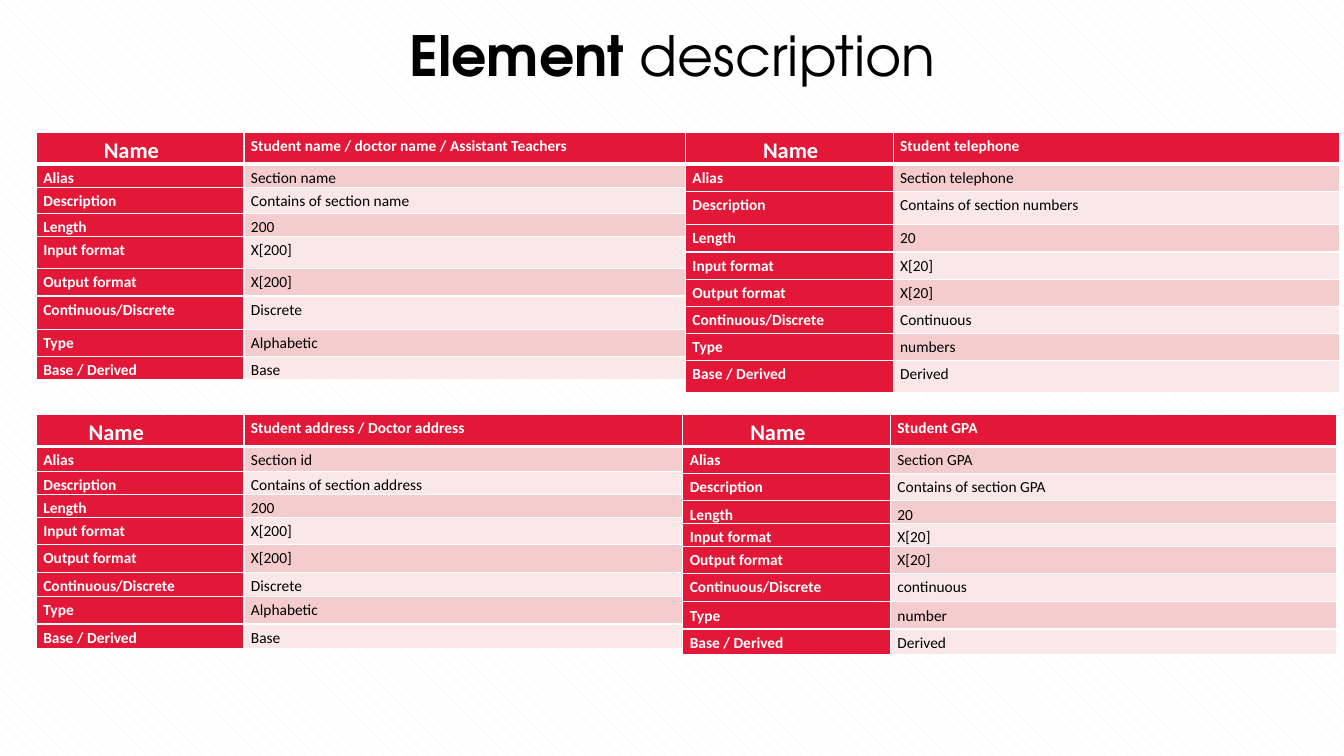
from pptx import Presentation
from pptx.dml.color import RGBColor
from pptx.enum.dml import MSO_PATTERN
from pptx.enum.text import MSO_ANCHOR, PP_ALIGN
from pptx.oxml.ns import qn
from pptx.util import Inches, Pt
from lxml import etree

SHINGLE = MSO_PATTERN.SHINGLE
MIDDLE = MSO_ANCHOR.MIDDLE
CENTER = PP_ALIGN.CENTER
WIDTH, HEIGHT = Inches(13.33), Inches(7.5)
LABELS = ("Name", "Alias", "Description", "Length", "Input format",
          "Output format", "Continuous/Discrete", "Type", "Base / Derived")
COLUMNS = (15.45, 33.23)
HEADER_HEIGHT = 4.27
ELEMENTS = (
    dict(left=2.7, top=17.47, indent=0.67,
         values=("Student name / doctor name / Assistant Teachers",
                 "Section name", "Contains of section name", "200", "X[200]",
                 "X[200]", "Discrete", "Alphabetic", "Base"),
         heights=(3.07, 3.47, 2.93, 4.27, 3.6, 4.4, 3.6, 2.8)),
    dict(left=2.7, top=54.8, indent=0.52,
         values=("Student address / Doctor address", "Section id",
                 "Contains of section address", "200", "X[200]", "X[200]",
                 "Discrete", "Alphabetic", "Base"),
         heights=(3.33, 2.8, 2.67, 3.6, 3.73, 3.2, 3.6, 3.2)),
    dict(left=50.8, top=54.8, indent=0.67,
         values=("Student GPA", "Section GPA", "Contains of section GPA",
                 "20", "X[20]", "X[20]", "continuous", "number", "Derived"),
         heights=(3.6, 3.6, 2.8, 2.67, 3.6, 3.73, 3.6, 3.33)),
    dict(left=51, top=17.47, indent=0.77,
         values=("Student telephone", "Section telephone",
                 "Contains of section numbers", "20", "X[20]", "X[20]",
                 "Continuous", "numbers", "Derived"),
         heights=(3.6, 4.4, 3.6, 3.6, 3.6, 3.6, 3.6, 4.27)),
)


def color(value):
    return RGBColor.from_string(value)


def across(percent):
    return round(WIDTH * percent / 100)


def down(percent):
    return round(HEIGHT * percent / 100)


def write(paragraph, text, font="Calibri", size=11, fill="000000", bold=False,
          spacing=1.07):
    paragraph.line_spacing = spacing
    run = paragraph.add_run()
    run.text = text
    run.font.name = font
    run.font.size = Pt(size)
    run.font.bold = bold
    run.font.color.rgb = color(fill)


class ElementSlide:
    """Draws a title and element tables in one style on the current slide."""

    red, white = "E31737", "FFFFFF"
    bands = ("FAE8E8", "F4CCCE")

    def __init__(self, presentation):
        self.slide = presentation.slides.add_slide(presentation.slide_layouts[6])

    def background(self):
        fill = self.slide.background.fill
        fill.patterned()
        fill.pattern = SHINGLE
        fill.fore_color.rgb = color("F2F2F2")
        fill.back_color.rgb = color(self.white)

    def title(self, strong, light):
        box = self.slide.shapes.add_textbox(across(6.9), down(2.93),
                                            across(86.27), down(9.73))
        frame = box.text_frame
        frame.word_wrap = True
        frame.vertical_anchor = MIDDLE
        paragraph = frame.paragraphs[0]
        paragraph.alignment = CENTER
        for text, bold in ((strong, True), (light, False)):
            write(paragraph, text, font="TeX Gyre Adventor", size=39.6,
                  bold=bold, spacing=0.9)

    def borders(self, cell, top, bottom):
        properties = cell._tc.get_or_add_tcPr()
        sides = (("L", 1), ("R", 1), ("T", top), ("B", bottom))
        for position, (side, points) in enumerate(sides):
            line = etree.Element(qn("a:ln" + side), w=str(Pt(points)))
            fill = etree.SubElement(line, qn("a:solidFill"))
            etree.SubElement(fill, qn("a:srgbClr"), val=self.white)
            properties.insert(position, line)

    def cell(self, cell, text, row, is_label, indent):
        is_header = row == 0
        is_name = is_header and is_label
        is_strong = is_header or is_label
        cell.margin_left = Inches(indent if is_name else 0.07)
        cell.margin_right = Inches(0.08)
        cell.margin_top = Inches(0.03)
        cell.margin_bottom = 0
        cell.fill.solid()
        cell.fill.fore_color.rgb = color(self.red if is_strong else self.bands[row % 2])
        self.borders(cell, top=3 if row == 1 else 1, bottom=3 if is_header else 1)
        write(cell.text_frame.paragraphs[0], text, size=16 if is_name else 11,
              fill=self.white if is_strong else "000000", bold=is_strong)

    def element_table(self, left, top, indent, values, heights):
        heights = (HEADER_HEIGHT, *heights)
        table = self.slide.shapes.add_table(
            len(LABELS), len(COLUMNS), across(left), down(top),
            across(sum(COLUMNS)), down(sum(heights))).table
        for column, width in zip(table.columns, COLUMNS):
            column.width = across(width)
        for row, (height, *texts) in enumerate(zip(heights, LABELS, values)):
            table.rows[row].height = down(height)
            for column, text in enumerate(texts):
                self.cell(table.cell(row, column), text, row, column == 0, indent)


def main():
    presentation = Presentation()
    presentation.slide_width, presentation.slide_height = WIDTH, HEIGHT
    page = ElementSlide(presentation)
    page.background()
    page.title("Element ", "description")
    for element in ELEMENTS:
        page.element_table(**element)
    presentation.save("out.pptx")


if __name__ == "__main__":
    main()
